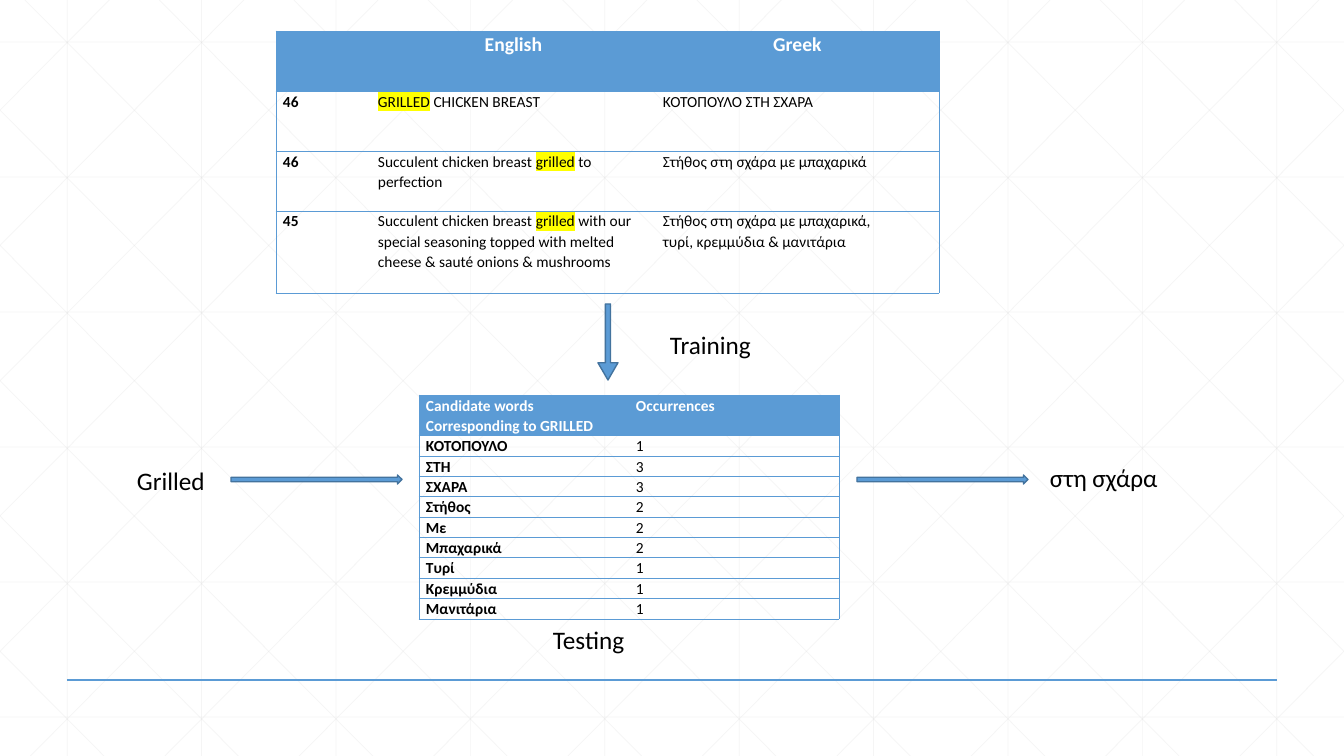
from lxml import etree
from pptx import Presentation
from pptx.dml.color import RGBColor
from pptx.enum.shapes import MSO_CONNECTOR, MSO_SHAPE
from pptx.enum.text import MSO_AUTO_SIZE, PP_ALIGN
from pptx.oxml.ns import qn
from pptx.util import Emu, Pt

STRAIGHT = MSO_CONNECTOR.STRAIGHT
RIGHT_ARROW, DOWN_ARROW = MSO_SHAPE.RIGHT_ARROW, MSO_SHAPE.DOWN_ARROW
FIT_SHAPE = MSO_AUTO_SIZE.SHAPE_TO_FIT_TEXT
LEFT, CENTER = PP_ALIGN.LEFT, PP_ALIGN.CENTER

PX = 914400 / 100.8
WIDTH, HEIGHT = 1344, 756
FONT = "Calibri"
COLORS = {"blue": "5B9BD5", "outline": "43739E", "grid": "D9D9D9",
          "white": "FFFFFF", "black": "000000", "highlight": "FFFF00"}
RGB = {name: RGBColor.from_string(value) for name, value in COLORS.items()}


def add_line(shapes, ends, color, points):
    line = shapes.add_connector(STRAIGHT, *(Emu(round(end * PX)) for end in ends))
    line.line.color.rgb = RGB[color]
    line.line.width = Pt(points)
    etree.SubElement(line._element.spPr, qn("a:effectLst"))
    return line


def add_grid_table(box, column_widths, row_heights, rows, header_size, header_align):
    """Add a table with a blue header, row rules and an outer frame; text between bars is highlighted."""
    frame = slide.shapes.add_table(len(rows), len(column_widths),
                                   *(Emu(round(length * PX)) for length in box))
    table = frame.table
    table.horz_banding = False
    for column, width in zip(table.columns, column_widths):
        column.width = Emu(round(width * PX))
    for row, height in zip(table.rows, row_heights):
        row.height = Emu(round(height * PX))

    last_column = len(column_widths) - 1
    for row_index, texts in enumerate(rows):
        for column_index, text in enumerate(texts):
            cell = table.cell(row_index, column_index)
            header = row_index == 0
            cell.margin_left = cell.margin_right = Emu(round(7 * PX))
            cell.margin_top = cell.margin_bottom = 0

            properties = cell._tc.get_or_add_tcPr()
            visible_sides = {"lnL": column_index == 0, "lnR": column_index == last_column,
                             "lnT": True, "lnB": True}
            for side, visible in visible_sides.items():
                border = etree.SubElement(properties, qn(f"a:{side}"), w=str(Pt(0.5)))
                if visible:
                    fill = etree.SubElement(border, qn("a:solidFill"))
                    etree.SubElement(fill, qn("a:srgbClr"), val=COLORS["blue"])
                else:
                    etree.SubElement(border, qn("a:noFill"))
            if header:
                cell.fill.solid()
                cell.fill.fore_color.rgb = RGB["blue"]
            else:
                cell.fill.background()

            for line_index, line in enumerate(text.split("\n")):
                text_frame = cell.text_frame
                paragraph = text_frame.add_paragraph() if line_index else text_frame.paragraphs[0]
                paragraph.line_spacing = 1.07
                paragraph.alignment = header_align if header else LEFT
                paragraph.font.name = FONT
                paragraph.font.size = Pt(header_size if header else 11)
                paragraph.font.bold = header or column_index == 0
                paragraph.font.color.rgb = RGB["white" if header else "black"]
                for part_index, part in enumerate(line.split("|")):
                    if not part:
                        continue
                    run = paragraph.add_run()
                    run.text = part
                    if part_index % 2:
                        highlight = etree.SubElement(run._r.get_or_add_rPr(), qn("a:highlight"))
                        etree.SubElement(highlight, qn("a:srgbClr"), val=COLORS["highlight"])


presentation = Presentation()
presentation.slide_width = Emu(round(WIDTH * PX))
presentation.slide_height = Emu(round(HEIGHT * PX))
slide = presentation.slides.add_slide(presentation.slide_layouts[6])

# Background grid: verticals, horizontals, and diagonals clipped to the slide
STEP = WIDTH / 10
RUN = 751
grid_lines = [(STEP * (i + 0.5), 0, STEP * (i + 0.5), HEIGHT) for i in range(10)]
grid_lines += [(0, 42 + 135 * i, WIDTH, 42 + 135 * i) for i in range(6)]
for i in range(-5, 10):
    start = 25 + STEP * i
    x1, x2 = max(start, 0), min(start + RUN, WIDTH)
    y1, y2 = ((x - start) * HEIGHT / RUN for x in (x1, x2))
    grid_lines += [(x1, y1, x2, y2), (WIDTH - x1, y1, WIDTH - x2, y2)]
grid = slide.shapes.add_group_shape()
for ends in grid_lines:
    line = add_line(grid.shapes, ends, "grid", 0.5)
    color = line.line._ln.find(".//" + qn("a:srgbClr"))
    etree.SubElement(color, qn("a:alpha"), val="25000")
add_line(slide.shapes, (67, 680, 1277, 680), "blue", 1)

# Training sentences
sentences = [
    ("", "English", "Greek"),
    ("46", "|GRILLED| CHICKEN BREAST", "ΚΟΤΟΠΟΥΛΟ ΣΤΗ ΣΧΑΡΑ"),
    ("46", "Succulent chicken breast |grilled| to perfection", "Στήθος στη σχάρα με μπαχαρικά"),
    ("45", "Succulent chicken breast |grilled| with our special seasoning topped with melted "
           "cheese & sauté onions & mushrooms",
     "Στήθος στη σχάρα με μπαχαρικά,\nτυρί, κρεμμύδια & μανιτάρια"),
]
add_grid_table((276, 31, 663, 262), (95, 285, 283), (60, 60, 60, 82), sentences, 14, CENTER)

# Candidate word counts
candidates = [
    ("Candidate words Corresponding to GRILLED", "Occurrences"),
    ("ΚΟΤΟΠΟΥΛΟ", "1"), ("ΣΤΗ", "3"), ("ΣΧΑΡΑ", "3"), ("Στήθος", "2"), ("Με", "2"),
    ("Μπαχαρικά", "2"), ("Τυρί", "1"), ("Κρεμμύδια", "1"), ("Μανιτάρια", "1"),
]
add_grid_table((419, 395, 420, 211), (210, 210), [40] + [19] * 9, candidates, 11, LEFT)

# Arrows between the stages
arrows = [
    (RIGHT_ARROW, (231, 475, 171, 9), (0.5, 0.5)),
    (RIGHT_ARROW, (857, 475, 171, 9), (0.5, 0.5)),
    (DOWN_ARROW, (598, 304, 20, 76), (0.26, 0.86)),
]
for preset, box, adjustments in arrows:
    arrow = slide.shapes.add_shape(preset, *(Emu(round(length * PX)) for length in box))
    arrow.shadow.inherit = False
    arrow.fill.solid()
    arrow.fill.fore_color.rgb = RGB["blue"]
    arrow.line.color.rgb = RGB["outline"]
    arrow.line.width = Pt(1)
    for index, value in enumerate(adjustments):
        arrow.adjustments[index] = value

# Stage labels
labels = [("Grilled", 127, 460, 123), ("στη σχάρα", 1040, 457, 146),
          ("Training", 660, 324, 147), ("Testing", 543, 619, 147)]
for text, left, top, width in labels:
    label = slide.shapes.add_textbox(*(Emu(round(length * PX)) for length in (left, top, width, 40)))
    label.text_frame.word_wrap = True
    label.text_frame.auto_size = FIT_SHAPE
    paragraph = label.text_frame.paragraphs[0]
    paragraph.text = text
    paragraph.font.name = FONT
    paragraph.font.size = Pt(18)
    paragraph.font.color.rgb = RGB["black"]

presentation.save("out.pptx")
